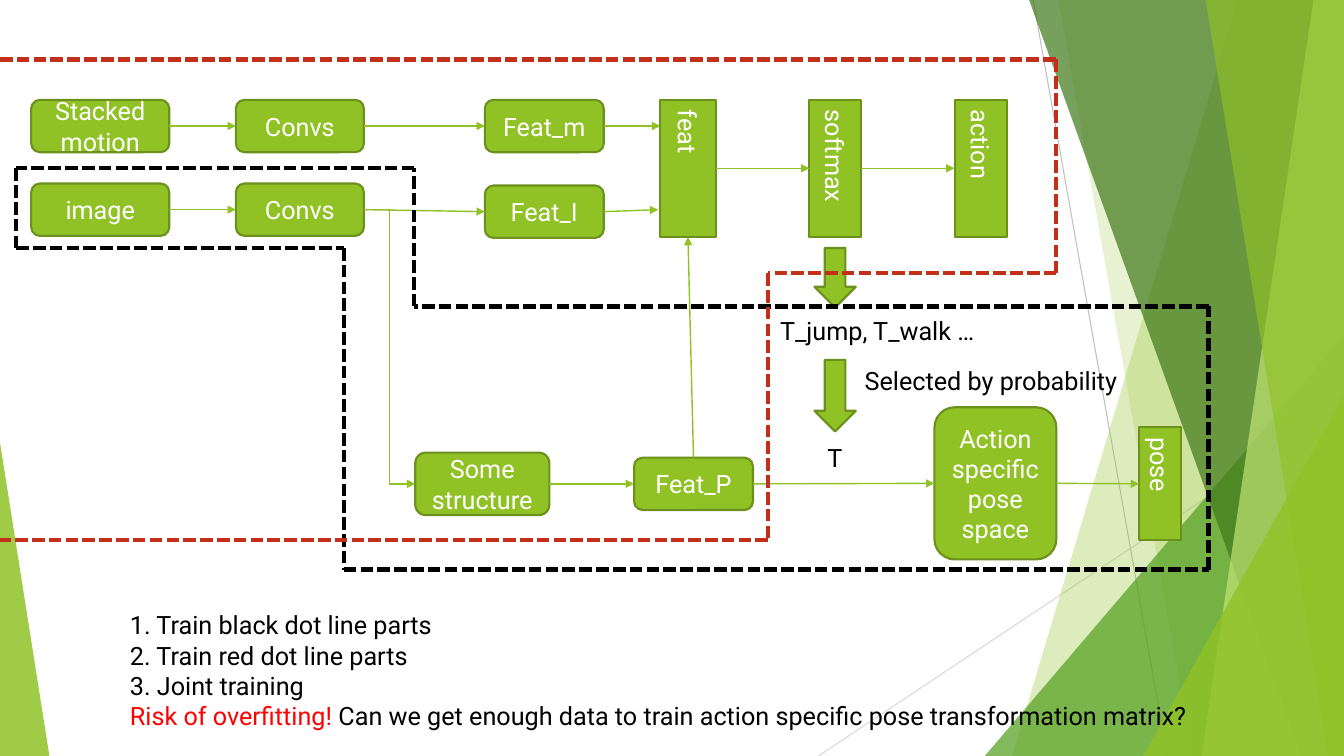
from dataclasses import dataclass
from itertools import pairwise

from lxml import etree
from pptx import Presentation
from pptx import util as u
from pptx.dml.color import RGBColor
from pptx.enum import dml, shapes, text
from pptx.oxml.ns import qn

# All lengths are in grid cells of a tenth of an inch.
COLS, ROWS = 133.33, 75
GREEN, DARK, BLACK, WHITE = "90C226", "6B901C", "000000", "FFFFFF"
RED, CRIMSON = "FF0000", "C42F1A"
FONT = {"name": "Roboto", "size": u.Pt(18)}
MS = shapes.MSO_SHAPE
TOP, LEFT, BOTTOM, RIGHT = range(4)
Point = tuple[float, float]


@dataclass
class Box:
    key: str
    words: str
    x: float
    y: float
    w: float
    h: float
    kind: int = MS.ROUNDED_RECTANGLE


@dataclass
class Link:
    start: str
    end: str | Point
    sides: tuple[int, int] = (RIGHT, LEFT)
    bent: bool = False


@dataclass
class Band:
    top: float
    bottom: float
    fill: str
    alpha: int


@dataclass
class Wedge:
    x: float
    y: float
    w: float
    fill: str
    alpha: int
    apex: int = 1


@dataclass
class Label:
    x: float
    y: float
    w: float
    h: float
    lines: list[list[tuple[str, str]]]


BANDS = [
    Band(122.8, 100.4, GREEN, 30), Band(105, 118.3, GREEN, 20),
    Band(102.1, 129.1, "3F7819", 70), Band(130.3, 119.2, "C0E474", 70),
    Band(119.6, 131.8, GREEN, 65),
]
BACK_WEDGE = Wedge(97.7, 33.3, 35.63, "54A021", 72)
FRONT_WEDGES = [Wedge(113.4, 39.3, 19.93, GREEN, 80), Wedge(0, 43.9, 4.9, GREEN, 85, 0)]

BOXES = [
    Box("motion", "Stacked motion", 3.1, 9.9, 13.7, 5.2),
    Box("image", "image", 3.1, 18.2, 13.7, 5.2),
    Box("motion convs", "Convs", 23.4, 9.9, 12.7, 5.2),
    Box("image convs", "Convs", 23.4, 18.2, 12.7, 5.2),
    Box("feat_m", "Feat_m", 48.1, 9.9, 11.8, 5.2),
    Box("feat_i", "Feat_I", 48.1, 18.4, 11.8, 5.2),
    Box("feat_p", "Feat_P", 62.9, 45.4, 11.8, 5.2),
    Box("structure", "Some structure", 41.2, 44.9, 13.3, 6.2),
    Box("feat", "feat", 65.5, 9.9, 5.5, 13.6, MS.RECTANGLE),
    Box("softmax", "softmax", 80.3, 9.9, 5.1, 13.6, MS.RECTANGLE),
    Box("action", "action", 94.7, 9.9, 5.2, 13.6, MS.RECTANGLE),
    Box("space", "Action specific pose space", 92.7, 40.4, 12.1, 15.1),
    Box("pose", "pose", 113, 42.4, 4.2, 11.2, MS.RECTANGLE),
    Box("to choices", "", 80.8, 24.6, 4.1, 5.9, MS.DOWN_ARROW),
    Box("to choice", "", 80.8, 35.7, 4.1, 7.1, MS.DOWN_ARROW),
]
LINKS = [
    Link("motion", "motion convs"), Link("image", "image convs"),
    Link("motion convs", "feat_m"), Link("image convs", "feat_i"),
    Link("feat_m", (65.5, 12.5)), Link("feat_i", (65.3, 20.8)),
    Link("feat_p", "feat", (TOP, BOTTOM)),
    Link("image convs", "structure", bent=True), Link("structure", "feat_p"),
    Link("feat", "softmax"), Link("softmax", "action"),
    Link("feat_p", "space"), Link("space", "pose"),
]
LABELS = [
    Label(76.4, 30.8, 23.8, 4, [[("T_jump, T_walk …", BLACK)]]),
    Label(81.1, 43.4, 3.4, 4, [[("T", BLACK)]]),
    Label(84.8, 35.8, 28.2, 4, [[("Selected by probability", BLACK)]]),
    Label(11.9, 60, 114.2, 13.1, [
        [("1. Train black dot line parts", BLACK)],
        [("2. Train red dot line parts", BLACK)],
        [("3. Joint training", BLACK)],
        [("Risk of overfitting! ", RED),
         ("Can we get enough data to train action specific pose "
          "transformation matrix?", BLACK)],
    ]),
]
OUTLINES = {
    BLACK: [(1.6, 16.7), (1.6, 24.6), (34.1, 24.6), (34.1, 56.5), (119.9, 56.5),
            (119.9, 30.4), (41.1, 30.4), (41.1, 16.7), (1.6, 16.7)],
    CRIMSON: [(0, 5.9), (104.8, 5.9), (104.8, 27.1), (76.2, 27.1),
              (76.2, 53.6), (0, 53.6)],
}


def cells(*lengths: float) -> list[int]:
    return [u.Inches(n / 10) for n in lengths]


def rgb(value: str) -> RGBColor:
    return RGBColor.from_string(value)


def paint(sp, fill: str, line: str | None = None, alpha: int = 100) -> None:
    sp.shadow.inherit = False
    sp.fill.solid()
    sp.fill.fore_color.rgb = rgb(fill)
    if line:
        sp.line.color.rgb, sp.line.width = rgb(line), u.Pt(1.5)
    else:
        sp.line.fill.background()
    if alpha < 100:
        color = sp._element.spPr.find(f"{qn('a:solidFill')}/{qn('a:srgbClr')}")
        etree.SubElement(color, qn("a:alpha"), val=str(alpha * 1000))


def write(p, words: str, color: str) -> None:
    r = p.add_run()
    r.text = words
    for name, value in FONT.items():
        setattr(r.font, name, value)
    r.font.color.rgb = rgb(color)


def add_line(s, start: Point, end: Point, color: str, width: float, bent: bool = False):
    kind = shapes.MSO_CONNECTOR.ELBOW if bent else shapes.MSO_CONNECTOR.STRAIGHT
    line = s.shapes.add_connector(kind, *cells(*start, *end))
    line.line.color.rgb, line.line.width = rgb(color), u.Pt(width)
    etree.SubElement(line._element.spPr, qn("a:effectLst"))
    return line


def add_band(s, band: Band) -> None:
    corners = [(band.top, 0), (COLS, 0), (COLS, ROWS), (band.bottom, ROWS)]
    first, *rest = [tuple(cells(*c)) for c in corners]
    outline = s.shapes.build_freeform(*first)
    outline.add_line_segments(rest, close=True)
    paint(outline.convert_to_shape(), band.fill, alpha=band.alpha)


def add_wedge(s, wedge: Wedge) -> None:
    frame = cells(wedge.x, wedge.y, wedge.w, ROWS - wedge.y)
    sp = s.shapes.add_shape(MS.ISOSCELES_TRIANGLE, *frame)
    sp.adjustments[0] = wedge.apex
    paint(sp, wedge.fill, alpha=wedge.alpha)


def add_box(s, box: Box):
    sp = s.shapes.add_shape(box.kind, *cells(box.x, box.y, box.w, box.h))
    paint(sp, GREEN, DARK)
    if box.words:
        tf = sp.text_frame
        tf.word_wrap, tf.vertical_anchor = True, text.MSO_ANCHOR.MIDDLE
        if box.kind == MS.RECTANGLE:
            tf._txBody.bodyPr.set("vert", "eaVert")
        tf.paragraphs[0].alignment = text.PP_ALIGN.CENTER
        write(tf.paragraphs[0], box.words, WHITE)
    return sp


def add_link(s, link: Link, boxes: dict) -> None:
    end = (0, 0) if isinstance(link.end, str) else link.end
    line = add_line(s, (0, 0), end, GREEN, 1, link.bent)
    line.begin_connect(boxes[link.start], link.sides[0])
    if isinstance(link.end, str):
        line.end_connect(boxes[link.end], link.sides[1])
    etree.SubElement(line.line._get_or_add_ln(), qn("a:tailEnd"), type="triangle")


def add_label(s, label: Label) -> None:
    tf = s.shapes.add_textbox(*cells(label.x, label.y, label.w, label.h)).text_frame
    tf.word_wrap = True
    for i, runs in enumerate(label.lines):
        p = tf.add_paragraph() if i else tf.paragraphs[0]
        for words, color in runs:
            write(p, words, color)


def main() -> None:
    prs = Presentation()
    prs.slide_width, prs.slide_height = cells(COLS, ROWS)
    s = prs.slides.add_slide(prs.slide_layouts[6])
    add_line(s, (102.5, 0), (115.8, ROWS), "BFBFBF", 0.75)
    add_line(s, (COLS, 40.3), (81.2, ROWS), "D9D9D9", 0.75)
    for band in BANDS[:2]:
        add_band(s, band)
    add_wedge(s, BACK_WEDGE)
    for band in BANDS[2:]:
        add_band(s, band)
    for wedge in FRONT_WEDGES:
        add_wedge(s, wedge)
    boxes = {box.key: add_box(s, box) for box in BOXES}
    for link in LINKS:
        add_link(s, link, boxes)
    for label in LABELS:
        add_label(s, label)
    for color, corners in OUTLINES.items():
        for start, end in pairwise(corners):
            line = add_line(s, start, end, color, 3)
            line.line.dash_style = dml.MSO_LINE.SQUARE_DOT
    prs.save("out.pptx")


if __name__ == "__main__":
    main()
